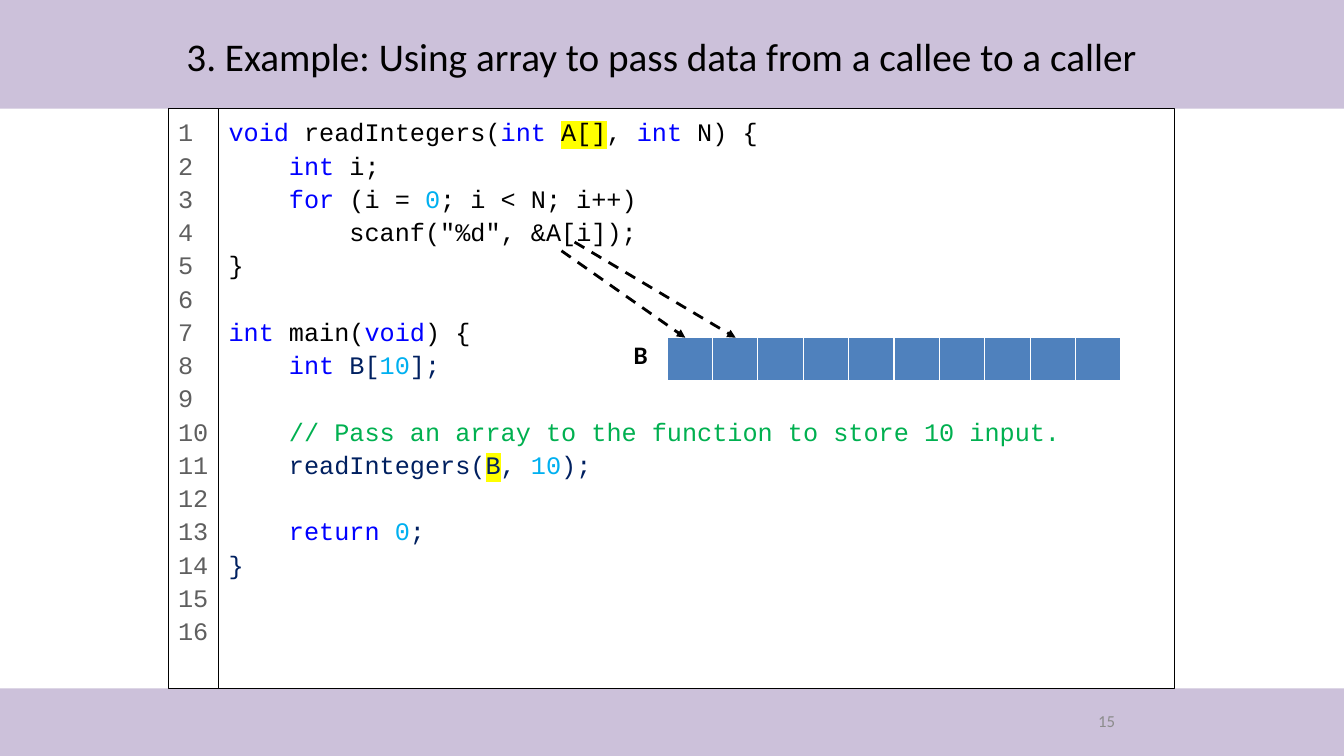
from dataclasses import dataclass

from lxml import etree
from pptx import Presentation
from pptx.dml.color import RGBColor
from pptx.enum.dml import MSO_LINE
from pptx.enum.shapes import MSO_CONNECTOR, MSO_SHAPE
from pptx.enum.text import MSO_ANCHOR, PP_ALIGN
from pptx.oxml.ns import qn
from pptx.util import Cm, Pt

RECTANGLE = MSO_SHAPE.RECTANGLE
STRAIGHT = MSO_CONNECTOR.STRAIGHT
DASH = MSO_LINE.DASH
TOP, MIDDLE = MSO_ANCHOR.TOP, MSO_ANCHOR.MIDDLE
LEFT, RIGHT = PP_ALIGN.LEFT, PP_ALIGN.RIGHT

COLORS = {
    "band": "CCC1DA",
    "black": "000000",
    "white": "FFFFFF",
    "keyword": "0000FF",
    "number": "00B0F0",
    "navy": "002060",
    "comment": "00B050",
    "highlight": "FFFF00",
    "line_number": "5F5F5F",
    "page_number": "8C8C8C",
    "cell": "4F81BD",
}
BODY_FONT, CODE_FONT = "Calibri", "Courier New"
SLIDE_WIDTH, SLIDE_HEIGHT = 33.87, 19.05
CODE_TOP, CODE_HEIGHT = 2.74, 14.61
CODE_BOTTOM = CODE_TOP + CODE_HEIGHT
ARRAY_TOP, ARRAY_HEIGHT = 8.51, 1.09
HALF_LEFT, HALF_WIDTH, HALF_CELLS = 16.81, 5.72, 5


@dataclass(frozen=True)
class Area:
    left: float
    top: float
    width: float
    height: float

    def lengths(self) -> tuple:
        return Cm(self.left), Cm(self.top), Cm(self.width), Cm(self.height)


@dataclass(frozen=True)
class Span:
    text: str
    color: str = "black"
    marked: bool = False


@dataclass(frozen=True)
class Arrow:
    start: tuple[float, float]
    end: tuple[float, float]


def keyword(text: str) -> Span:
    return Span(text, "keyword")


def number(text: str) -> Span:
    return Span(text, "number")


def navy(text: str, marked: bool = False) -> Span:
    return Span(text, "navy", marked)


CODE = [
    [keyword("void "), Span("readIntegers("), keyword("int "), Span("A[]", marked=True),
     Span(", "), keyword("int"), Span(" N) {")],
    [keyword("    int "), Span("i;")],
    [keyword("    for"), Span(" (i = "), number("0"), Span("; i < N; i++)")],
    [Span('        scanf("%d", &A[i]);')],
    [Span("}")],
    [],
    [keyword("int"), Span(" main("), keyword("void"), Span(") {")],
    [keyword("    int"), navy(" B["), number("10"), navy("];")],
    [],
    [Span("    // Pass an array to the function to store 10 input.", "comment")],
    [navy("    readIntegers("), navy("B", marked=True), navy(", "), number("10"), navy(");")],
    [],
    [keyword("    return "), number("0"), navy(";")],
    [navy("}")],
]
LINE_NUMBERS = [[Span(str(count), "line_number")] for count in range(1, 17)]
ARROWS = [
    Arrow((14.15, 6.32), (17.27, ARRAY_TOP)),
    Arrow((14.48, 6.1), (18.54, ARRAY_TOP)),
]


def rgb(name: str) -> RGBColor:
    return RGBColor.from_string(COLORS[name])


def add_rectangle(page, area: Area, fill: str | None = None, line: str | None = None):
    box = page.shapes.add_shape(RECTANGLE, *area.lengths())
    box.shadow.inherit = False
    if fill:
        box.fill.solid()
        box.fill.fore_color.rgb = rgb(fill)
    else:
        box.fill.background()
    if line:
        box.line.color.rgb = rgb(line)
        box.line.width = Pt(0.75)
    else:
        box.line.fill.background()
    return box


def write_text(box, lines: list[list[Span]], *, size: float, font: str = BODY_FONT,
               bold: bool = False, align=LEFT, anchor=TOP, spacing: float = 1.0,
               wrap: bool = True) -> None:
    frame = box.text_frame
    frame.word_wrap = wrap
    frame.vertical_anchor = anchor
    for index, spans in enumerate(lines):
        para = frame.add_paragraph() if index else frame.paragraphs[0]
        para.alignment = align
        para.line_spacing = spacing
        for span in spans:
            run = para.add_run()
            run.text = span.text
            run.font.size = Pt(size)
            run.font.bold = bold
            run.font.color.rgb = rgb(span.color)
            if span.marked:
                mark = etree.Element(qn("a:highlight"))
                etree.SubElement(mark, qn("a:srgbClr"), val=COLORS["highlight"])
                run.font._element.find(qn("a:solidFill")).addnext(mark)
            run.font.name = font
        if not spans:
            ending = etree.SubElement(para._p, qn("a:endParaRPr"), sz=str(int(size * 100)))
            etree.SubElement(ending, qn("a:latin"), typeface=font)


def add_label(page, area: Area, text: str, color: str = "black", **text_format) -> None:
    box = page.shapes.add_textbox(*area.lengths())
    write_text(box, [[Span(text, color)]], **text_format)


def add_array_half(page, left: float) -> None:
    area = Area(left, ARRAY_TOP, HALF_WIDTH, ARRAY_HEIGHT)
    table = page.shapes.add_table(1, HALF_CELLS, *area.lengths()).table
    table.horz_banding = False
    for cell in table.iter_cells():
        cell.fill.solid()
        cell.fill.fore_color.rgb = rgb("cell")


def add_arrow(page, arrow: Arrow) -> None:
    ends = [Cm(value) for value in (*arrow.start, *arrow.end)]
    connector = page.shapes.add_connector(STRAIGHT, *ends)
    connector.line.color.rgb = rgb("black")
    connector.line.width = Pt(2)
    connector.line.dash_style = DASH
    etree.SubElement(connector.line._get_or_add_ln(), qn("a:tailEnd"), type="triangle")
    etree.SubElement(connector._element.spPr, qn("a:effectLst"))


def main() -> None:
    deck = Presentation()
    deck.slide_width, deck.slide_height = Cm(SLIDE_WIDTH), Cm(SLIDE_HEIGHT)
    page = deck.slides.add_slide(deck.slide_layouts[6])

    add_rectangle(page, Area(0, 0, SLIDE_WIDTH, CODE_TOP), fill="band")
    add_rectangle(page, Area(0, CODE_BOTTOM, SLIDE_WIDTH, SLIDE_HEIGHT - CODE_BOTTOM), fill="band")
    add_label(page, Area(4.45, 0.46, 24.77, 1.88),
              "3. Example: Using array to pass data from a callee to a caller",
              size=28, anchor=MIDDLE)

    code_box = add_rectangle(page, Area(5.51, CODE_TOP, 24.1, CODE_HEIGHT), line="black")
    write_text(code_box, CODE, size=18, font=CODE_FONT, spacing=1.1)
    number_box = add_rectangle(page, Area(4.24, CODE_TOP, 1.28, CODE_HEIGHT),
                               fill="white", line="black")
    number_box.text_frame.margin_right = 0
    write_text(number_box, LINE_NUMBERS, size=18, font=CODE_FONT, spacing=1.1)

    add_label(page, Area(22.43, 17.65, 5.92, 1.02), "15", "page_number",
              size=12, align=RIGHT, anchor=MIDDLE)
    add_label(page, Area(15.72, 8.43, 0.86, 1.02), "B", size=18, bold=True, wrap=False)
    for half in range(2):
        add_array_half(page, HALF_LEFT + half * HALF_WIDTH)
    for arrow in ARROWS:
        add_arrow(page, arrow)

    deck.save("out.pptx")


if __name__ == "__main__":
    main()
